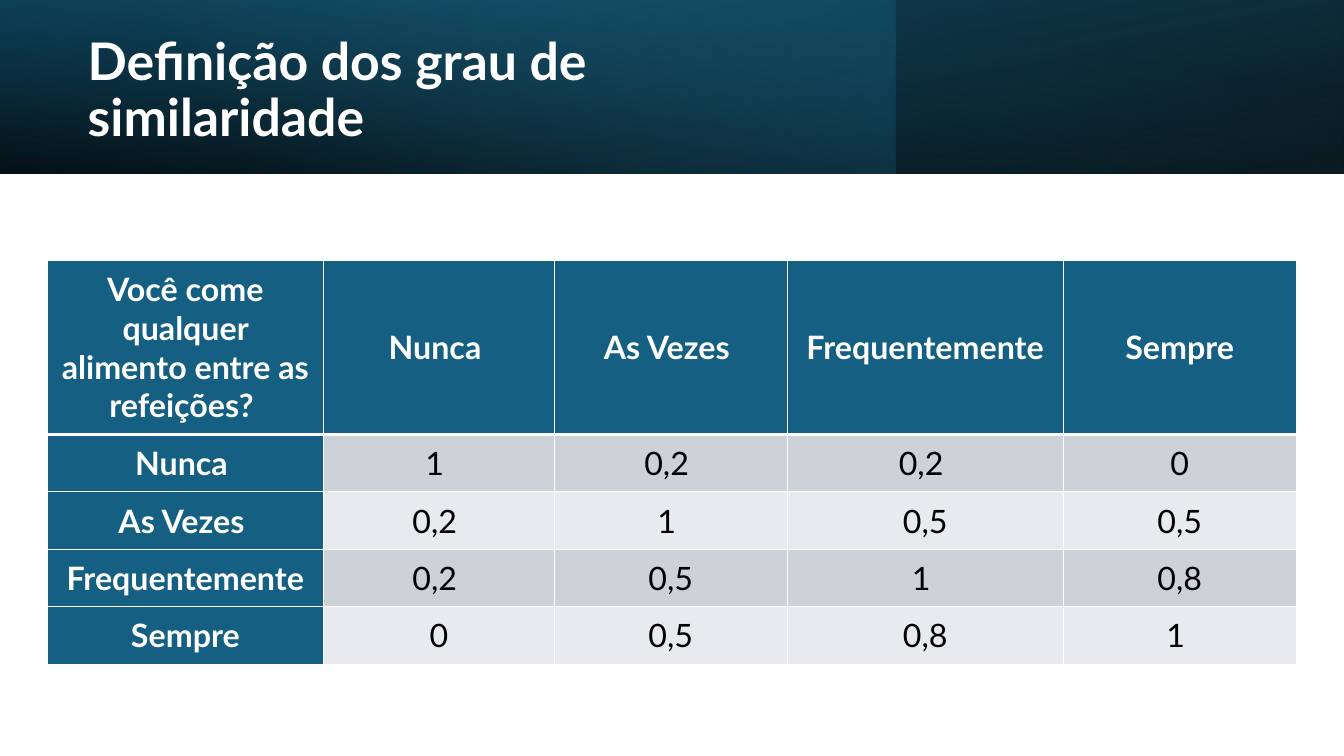
from dataclasses import dataclass

from lxml.etree import SubElement
from pptx import Presentation
from pptx.dml.color import RGBColor
from pptx.enum.shapes import MSO_SHAPE as Preset
from pptx.enum.text import MSO_ANCHOR as Anchor, PP_ALIGN as Align
from pptx.oxml.ns import qn
from pptx.util import Pt


@dataclass(frozen=True)
class Theme:
    font: str = "Lato"
    title_size: float = 37
    table_size: float = 23
    white: str = "FFFFFF"
    black: str = "000000"
    teal: str = "156082"
    deep_teal: str = "104862"
    sky: str = "46B1E1"
    odd_row: str = "CCD2D8"
    even_row: str = "E8EAED"


THEME = Theme()
PAGE_WIDTH, PAGE_HEIGHT = 960, 540
BAND_HEIGHT = 124
BANDS = [
    (PAGE_WIDTH, 180, True, 100, [(0, THEME.black, 96), (100, THEME.deep_teal, 100)]),
    (640, 0, False, 140, [(0, THEME.teal, 41), (74, THEME.sky, 0)]),
    (PAGE_WIDTH, 0, True, 260, [(0, THEME.black, 63), (78, THEME.teal, 15)]),
]
TITLE = "Definição dos grau de similaridade"
COLUMN_WIDTHS = [197.28, 164.88, 166.32, 197.28, 166.32]
ROW_HEIGHTS = [124.56] + [41.04] * 4
SIMILARITY = [
    ["Você come qualquer alimento entre as refeições? ", "Nunca ", "As Vezes ", "Frequentemente", "Sempre"],
    ["Nunca ", "1 ", "0,2 ", "0,2 ", "0"],
    ["As Vezes ", "0,2 ", "1 ", "0,5", "0,5"],
    ["Frequentemente", "0,2 ", "0,5", "1 ", "0,8"],
    ["Sempre", "0", "0,5", "0,8", "1 "],
]


def apply_format(target, values):
    for name, value in values.items():
        setattr(target, name, value)


def write_text(frame, text, size, color, bold, **paragraph_format):
    para = frame.paragraphs[0]
    apply_format(para, paragraph_format)
    span = para.add_run()
    span.text = text
    apply_format(span.font, {"name": THEME.font, "size": Pt(size), "bold": bold})
    span.font.color.rgb = RGBColor.from_string(color)


def set_gradient(shape, angle, stops):
    shape.fill.gradient()
    gradient = shape._element.spPr.find(qn("a:gradFill"))
    for child in list(gradient):
        gradient.remove(child)
    gradient.set("rotWithShape", "1")
    stop_list = SubElement(gradient, qn("a:gsLst"))
    for position, color, opacity in stops:
        stop = SubElement(stop_list, qn("a:gs"), pos=str(position * 1000))
        tint = SubElement(stop, qn("a:srgbClr"), val=color)
        SubElement(tint, qn("a:alpha"), val=str(opacity * 1000))
    SubElement(gradient, qn("a:lin"), ang=str(angle * 60000), scaled="0")


def add_band(page, width, rotation, flipped, angle, stops):
    band = page.shapes.add_shape(Preset.RECTANGLE, 0, 0, Pt(width), Pt(BAND_HEIGHT))
    band.shadow.inherit = False
    band.line.fill.background()
    band.rotation = rotation
    if flipped:
        band._element.spPr.find(qn("a:xfrm")).set("flipH", "1")
    set_gradient(band, angle, stops)


def place_title(page):
    title = page.shapes.title
    apply_format(title, {"left": Pt(55.44), "top": Pt(19.44), "width": Pt(555.84), "height": Pt(91.44)})
    apply_format(title.text_frame, {"vertical_anchor": Anchor.MIDDLE, "word_wrap": True})
    write_text(title.text_frame, TITLE, THEME.title_size, THEME.white, True,
               alignment=Align.LEFT, line_spacing=0.9)
    page.shapes._spTree.append(title._element)


def set_borders(cell, widths):
    properties = cell._tc.get_or_add_tcPr()
    for side, width in widths.items():
        line = SubElement(properties, qn(f"a:ln{side}"), w=str(Pt(width)))
        fill = SubElement(line, qn("a:solidFill"))
        SubElement(fill, qn("a:srgbClr"), val=THEME.white)


def format_cell(cell, text, row, column):
    heading = row == 0 or column == 0
    row_color = THEME.odd_row if row % 2 else THEME.even_row
    apply_format(cell, {
        "margin_left": Pt(9.36), "margin_right": Pt(9.36),
        "margin_top": Pt(4.32), "margin_bottom": Pt(4.32),
        "vertical_anchor": Anchor.MIDDLE,
    })
    set_borders(cell, {"L": 1, "R": 1, "T": 3 if row == 1 else 1, "B": 3 if row == 0 else 1})
    cell.fill.solid()
    cell.fill.fore_color.rgb = RGBColor.from_string(THEME.teal if heading else row_color)
    write_text(cell.text_frame, text, THEME.table_size,
               THEME.white if heading else THEME.black, heading, alignment=Align.CENTER)


def add_similarity_table(page):
    table = page.shapes.add_table(
        len(ROW_HEIGHTS), len(COLUMN_WIDTHS), Pt(33.84), Pt(185.76),
        Pt(sum(COLUMN_WIDTHS)), Pt(sum(ROW_HEIGHTS))).table
    apply_format(table, {"first_row": True, "first_col": True, "horz_banding": False})
    for column, width in zip(table.columns, COLUMN_WIDTHS):
        column.width = Pt(width)
    for row, height in zip(table.rows, ROW_HEIGHTS):
        row.height = Pt(height)
    for row, texts in enumerate(SIMILARITY):
        for column, text in enumerate(texts):
            format_cell(table.cell(row, column), text, row, column)


def main():
    deck = Presentation()
    apply_format(deck, {"slide_width": Pt(PAGE_WIDTH), "slide_height": Pt(PAGE_HEIGHT)})
    page = deck.slides.add_slide(deck.slide_layouts[5])
    for band in BANDS:
        add_band(page, *band)
    place_title(page)
    add_similarity_table(page)
    deck.save("out.pptx")


if __name__ == "__main__":
    main()
